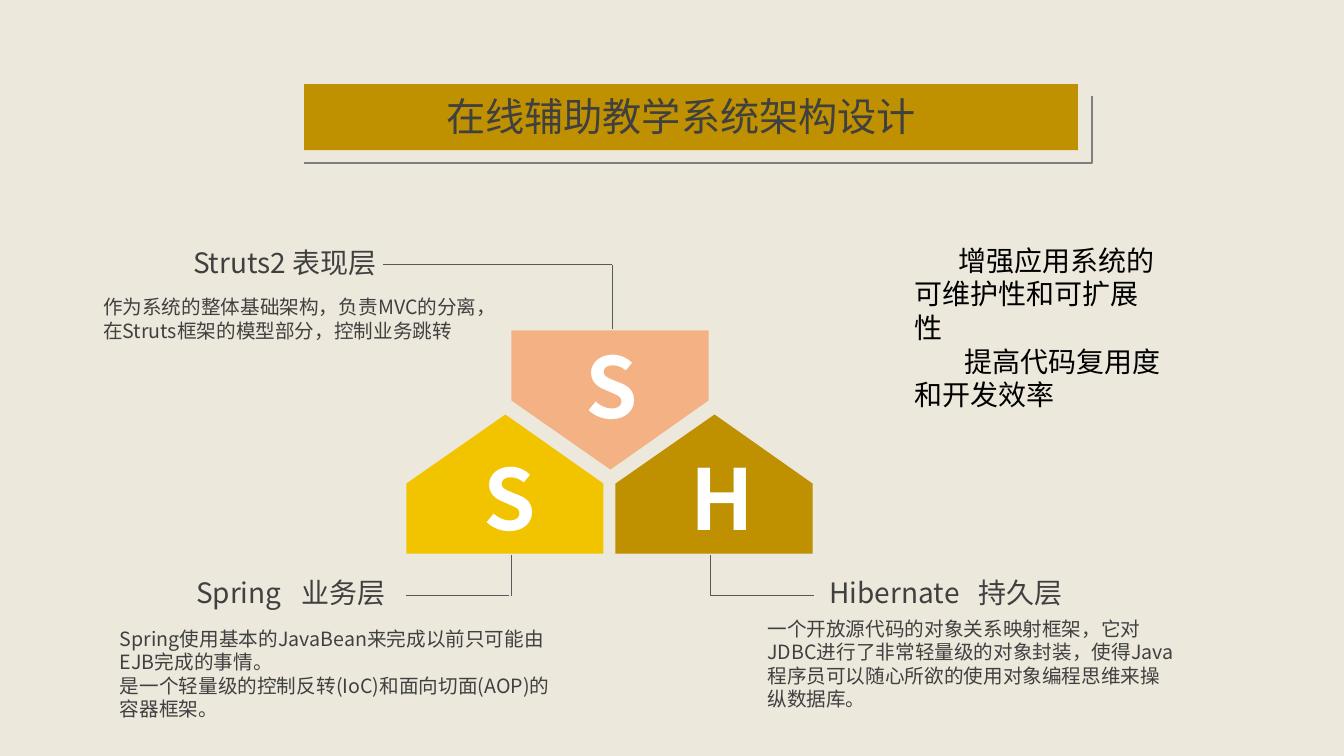
"""Build the slide on the SSH architecture of an online teaching system."""
from lxml import etree
from pptx import Presentation, util as u
from pptx.dml.color import RGBColor
from pptx.enum import shapes, text
from pptx.oxml import ns

PX = 9080
CREAM = RGBColor(0xEC, 0xE8, 0xDC)
GOLD = RGBColor(0xBF, 0x90, 0x00)
YELLOW = RGBColor(0xF2, 0xC4, 0x00)
PEACH = RGBColor(0xF4, 0xB1, 0x83)
WHITE = RGBColor(0xFF, 0xFF, 0xFF)
BLACK = RGBColor(0, 0, 0)
INK = RGBColor(0x40, 0x40, 0x40)
GREY = RGBColor(0x7F, 0x7F, 0x7F)
LINE = RGBColor(0x59, 0x59, 0x59)
SANS, CALIBRI = "Noto Sans CJK SC", "Calibri"

BANNER = (304, 84, 773, 66)
TITLE = ("在线辅助教学系统架构设计", (436, 87, 509, 57))
CORNER = [(304, 163), (1091, 163), (1091, 96)]

HOUSE_W, HOUSE_H, SHOULDER = 197, 139, 69
HOUSES = [
    ("S", 406, 414, YELLOW, False, (473, 441)),
    ("H", 615, 414, GOLD, False, (680, 441)),
    ("S", 511, 330, PEACH, True, (575, 329)),
]
LETTER_W, LETTER_H = 75, 111

HEADINGS = [
    ("Struts2 表现层", (183, 240, 221, 44), None),
    ("Spring\t业务层", (186, 570, 221, 44), 105),
    ("Hibernate\t持久层", (819, 570, 264, 44), 149),
]
DETAILS = [
    (["作为系统的整体基础架构，负责MVC的分离，在Struts框架的模型部分，控制业务跳转"],
     (93, 290, 395, 81)),
    (["Spring使用基本的JavaBean来完成以前只可能由EJB完成的事情。",
      "是一个轻量级的控制反转(IoC)和面向切面(AOP)的容器框架。"],
     (110, 621, 460, 105)),
    (["一个开放源代码的对象关系映射框架，它对JDBC进行了非常轻量级的对象封装，"
      "使得Java程序员可以随心所欲的使用对象编程思维来操纵数据库。"],
     (757, 611, 432, 105)),
]
BENEFITS = (["增强应用系统的可维护性和可扩展性", "提高代码复用度和开发效率"],
            (904, 238, 266, 178), (44, 50))
LEADERS = [
    (612, 329, 612, 265, 1), (612, 264, 383, 264, 0.5),
    (511, 595, 511, 554, 1), (509, 595, 406, 595, 0.5),
    (710, 595, 710, 554, 1), (813, 595, 710, 595, 0.5),
]


def emu(*lengths):
    return [length * PX for length in lengths]


def add_text(page, lines, area, size, color=INK, font=SANS, bold=False, indents=(), tab=None):
    box = page.shapes.add_textbox(*emu(*area))
    frame = box.text_frame
    frame.word_wrap = True
    frame.auto_size = text.MSO_AUTO_SIZE.SHAPE_TO_FIT_TEXT
    for index, line in enumerate(lines):
        para = frame.paragraphs[0] if index == 0 else frame.add_paragraph()
        para.text = line
        properties = para._p.get_or_add_pPr()
        if indents:
            properties.set("indent", str(indents[index] * PX))
        if tab:
            stops = etree.SubElement(properties, ns.qn("a:tabLst"))
            etree.SubElement(stops, ns.qn("a:tab"), pos=str(tab * PX), algn="l")
        para.font.size = u.Pt(size)
        para.font.name = font
        para.font.bold = bold
        para.font.color.rgb = color


def add_outline(page, points, closed):
    builder = page.shapes.build_freeform(*points[0], scale=PX)
    builder.add_line_segments(points[1:], close=closed)
    outline = builder.convert_to_shape()
    outline.shadow.inherit = False
    return outline


def add_house(page, left, top, color, flipped):
    right, middle = left + HOUSE_W, left + HOUSE_W // 2 + 1
    profile = [(left, SHOULDER), (middle, 0), (right, SHOULDER), (right, HOUSE_H), (left, HOUSE_H)]
    points = [(x, top + (HOUSE_H - y if flipped else y)) for x, y in profile]
    house = add_outline(page, points, True)
    house.fill.solid()
    house.fill.fore_color.rgb = color
    house.line.fill.background()


def add_leader(page, x1, y1, x2, y2, width):
    leader = page.shapes.add_connector(shapes.MSO_CONNECTOR.STRAIGHT, *emu(x1, y1, x2, y2))
    leader.line.color.rgb = LINE
    leader.line.width = u.Pt(width)
    etree.SubElement(leader._element.spPr, ns.qn("a:effectLst"))


def main():
    deck = Presentation()
    deck.slide_width, deck.slide_height = emu(1343, 755)
    page = deck.slides.add_slide(deck.slide_layouts[6])
    page.background.fill.solid()
    page.background.fill.fore_color.rgb = CREAM

    banner = page.shapes.add_shape(shapes.MSO_SHAPE.RECTANGLE, *emu(*BANNER))
    banner.shadow.inherit = False
    banner.fill.solid()
    banner.fill.fore_color.rgb = GOLD
    banner.line.fill.background()
    corner = add_outline(page, CORNER, False)
    corner.fill.background()
    corner.line.color.rgb = GREY
    corner.line.width = u.Pt(1)
    title, area = TITLE
    add_text(page, [title], area, 28)

    for _, left, top, color, flipped, _ in HOUSES:
        add_house(page, left, top, color, flipped)
    for letter, *_, corner_at in HOUSES:
        add_text(page, [letter], (*corner_at, LETTER_W, LETTER_H), 60, WHITE, bold=True)
    for leader in LEADERS:
        add_leader(page, *leader)
    for heading, area, tab in HEADINGS:
        add_text(page, [heading], area, 20, tab=tab)
    for lines, area in DETAILS:
        add_text(page, lines, area, 14)
    lines, area, indents = BENEFITS
    add_text(page, lines, area, 20, BLACK, CALIBRI, indents=indents)
    deck.save("out.pptx")


if __name__ == "__main__":
    main()
